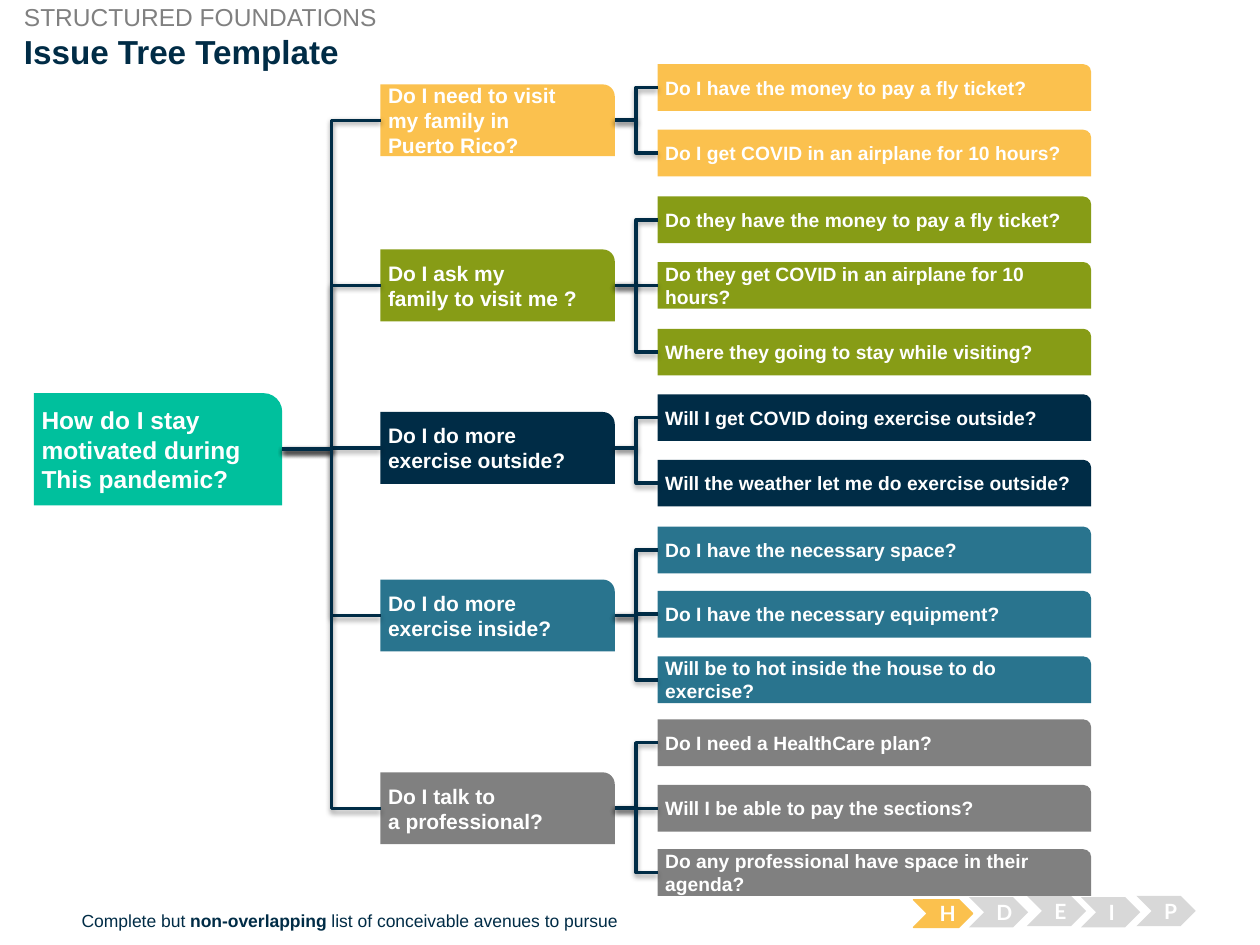
import lxml.etree
import pptx
import pptx.dml.color
import pptx.enum.shapes
import pptx.enum.text
import pptx.util

Inches = pptx.util.Inches
Pt = pptx.util.Pt
SHAPE = pptx.enum.shapes.MSO_SHAPE
ALIGN = pptx.enum.text.PP_ALIGN
ANCHOR = pptx.enum.text.MSO_ANCHOR
DRAWING = "http://schemas.openxmlformats.org/drawingml/2006/main"

COLORS = {
    "teal": "00C09D",
    "yellow": "FBC14E",
    "green": "879C16",
    "navy": "002C46",
    "blue": "29748E",
    "gray": "808080",
    "pale": "D8D8D8",
    "white": "FFFFFF",
    "shadow": "000000",
}


def write(shape, text, size, color="white", bold=True, font="Arial", align=ALIGN.LEFT,
          anchor=ANCHOR.MIDDLE, insets=(0.06, 0.05, 0.05, 0.05), hanging=0):
    frame = shape.text_frame
    frame.word_wrap = True
    frame.auto_size = pptx.enum.text.MSO_AUTO_SIZE.NONE
    frame.vertical_anchor = anchor
    frame.margin_left, frame.margin_top, frame.margin_right, frame.margin_bottom = map(Inches, insets)
    for number, line in enumerate(text.split("\n")):
        paragraph = frame.add_paragraph() if number else frame.paragraphs[0]
        paragraph.alignment = align
        if hanging:
            properties = paragraph._p.get_or_add_pPr()
            properties.set("marL", str(Inches(hanging)))
            properties.set("indent", str(-Inches(hanging)))
        for part, words in enumerate(line.split("**")):
            run = paragraph.add_run()
            run.text = words
            run.font.name = font
            run.font.size = Pt(size)
            run.font.bold = bold or part % 2 == 1
            run.font.color.rgb = pptx.dml.color.RGBColor.from_string(COLORS[color])


def add_box(shapes, kind, place, color):
    box = shapes.add_shape(kind, *map(Inches, place))
    box.shadow.inherit = False
    box.fill.solid()
    box.fill.fore_color.rgb = pptx.dml.color.RGBColor.from_string(COLORS[color])
    box.line.fill.background()
    return box


deck = pptx.Presentation()
deck.slide_width = Inches(10)
deck.slide_height = Inches(7.5)
slide = deck.slides.add_slide(deck.slide_layouts[5])
shapes = slide.shapes

title = shapes.title
title.left, title.top, title.width, title.height = map(Inches, (0.19, 0.25, 9.43, 0.33))
write(title, "Issue Tree Template", 19, "navy", anchor=ANCHOR.TOP, insets=(0, 0, 0, 0))

section = shapes.add_textbox(*map(Inches, (0.19, 0.02, 2.84, 0.24)))
write(section, "STRUCTURED FOUNDATIONS", 14, "gray", bold=False, anchor=ANCHOR.TOP,
      insets=(0, 0, 0, 0))

footnote = shapes.add_textbox(*map(Inches, (0.55, 7.17, 4.67, 0.27)))
write(footnote, "Complete but **non-overlapping** list of conceivable avenues to pursue", 10,
      "navy", bold=False, anchor=ANCHOR.TOP, insets=(0.1, 0.05, 0.1, 0.05))

steps = shapes.add_group_shape()
for letter, left, top, height, color in [
    ("H", 7.25, 7.14, 0.22, "yellow"),
    ("D", 7.69, 7.12, 0.24, "pale"),
    ("E", 8.15, 7.11, 0.24, "pale"),
    ("I", 8.58, 7.12, 0.24, "pale"),
    ("P", 9.02, 7.11, 0.24, "pale"),
]:
    step = add_box(steps.shapes, SHAPE.CHEVRON, (left, top, 0.47, height), color)
    if color == "yellow":
        step.line.color.rgb = pptx.dml.color.RGBColor.from_string(COLORS[color])
        step.line.width = Pt(0.75)
    write(step, letter, 12, font="Lato", align=ALIGN.CENTER, insets=(0.1, 0.05, 0.1, 0.05))

root = add_box(shapes, SHAPE.ROUND_1_RECTANGLE, (0.27, 3.12, 1.97, 0.89), "teal")
write(root, "How do I stay\nmotivated during\nThis pandemic?", 14, insets=(0.06, 0, 0, 0),
      hanging=0.38)

branches = [
    ("Do I need to visit\nmy family in\nPuerto Rico?", 0.67, "yellow", [
        ("Do I have the money to pay a fly ticket?", 0.51),
        ("Do I get COVID in an airplane for 10 hours?", 1.03),
    ]),
    ("Do I ask my\nfamily to visit me ?", 1.98, "green", [
        ("Do they have the money to pay a fly ticket?", 1.56),
        ("Do they get COVID in an airplane for 10\nhours?", 2.08),
        ("Where they going to stay while visiting?", 2.61),
    ]),
    ("Do I do more\nexercise outside?", 3.27, "navy", [
        ("Will I get COVID doing exercise outside?", 3.13),
        ("Will the weather let me do exercise outside?", 3.65),
    ]),
    ("Do I do more\nexercise inside?", 4.6, "blue", [
        ("Do I have the necessary space?", 4.18),
        ("Do I have the necessary equipment?", 4.69),
        ("Will be to hot inside the house to do\nexercise?", 5.21),
    ]),
    ("Do I talk to\na professional?", 6.13, "gray", [
        ("Do I need a HealthCare plan?", 5.71),
        ("Will I be able to pay the sections?", 6.23),
        ("Do any professional have space in their\nagenda?", 6.74),
    ]),
]

links = []
for question, top, color, details in branches:
    branch = add_box(shapes, SHAPE.ROUND_1_RECTANGLE, (3.02, top, 1.86, 0.57), color)
    write(branch, question, 12, hanging=0.38)
    links.append((root, branch))
    for detail, detail_top in details:
        leaf = add_box(shapes, SHAPE.ROUND_1_RECTANGLE, (5.22, detail_top, 3.44, 0.37), color)
        write(leaf, detail, 11, hanging=0.38)
        links.append((branch, leaf))

LEFT_SITE, RIGHT_SITE = 1, 3
for parent, child in links:
    start_y = parent.top + parent.height // 2
    end_y = child.top + child.height // 2
    link = shapes.add_connector(pptx.enum.shapes.MSO_CONNECTOR.ELBOW,
                                parent.left + parent.width, start_y, child.left, end_y)
    link.begin_connect(parent, RIGHT_SITE)
    link.end_connect(child, LEFT_SITE)
    link.begin_x, link.begin_y = parent.left + parent.width, start_y
    link.end_x, link.end_y = child.left, end_y
    link.line.color.rgb = pptx.dml.color.RGBColor.from_string(COLORS["navy"])
    link.line.width = Pt(2)
    effects = lxml.etree.SubElement(link._element.spPr, f"{{{DRAWING}}}effectLst")
    shadow = lxml.etree.SubElement(effects, f"{{{DRAWING}}}outerShdw", blurRad=str(Pt(3.1)),
                                   dist=str(Pt(1.6)), dir="5400000", rotWithShape="0")
    tint = lxml.etree.SubElement(shadow, f"{{{DRAWING}}}srgbClr", val=COLORS["shadow"])
    lxml.etree.SubElement(tint, f"{{{DRAWING}}}alpha", val="38000")

deck.save("out.pptx")
